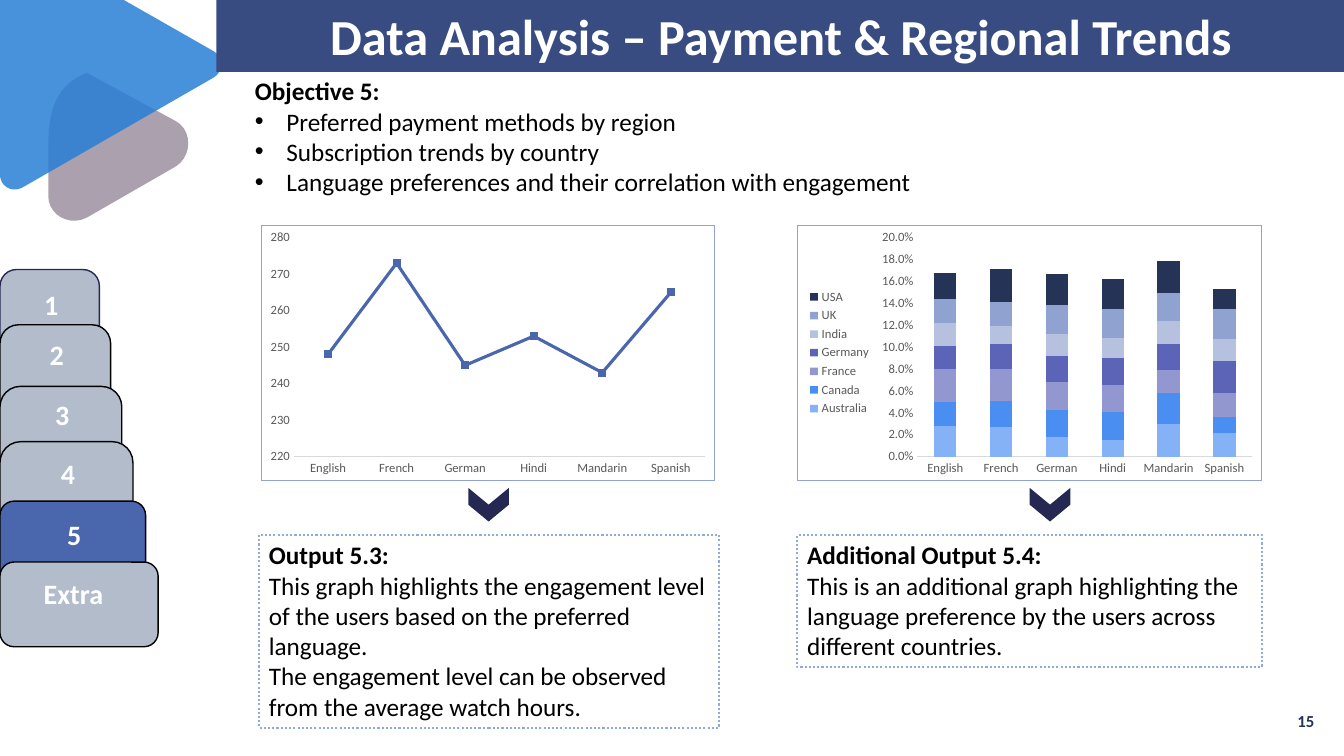
from dataclasses import dataclass

from lxml import etree
from pptx import Presentation
from pptx.chart.data import CategoryChartData
from pptx.dml.color import RGBColor
from pptx.enum.chart import XL_CHART_TYPE, XL_LEGEND_POSITION, XL_TICK_MARK
from pptx.enum.dml import MSO_LINE
from pptx.enum.shapes import MSO_SHAPE
from pptx.enum.text import MSO_ANCHOR, PP_ALIGN
from pptx.oxml import parse_xml
from pptx.oxml.ns import nsdecls, qn
from pptx.util import Pt

LINE, STACKED = XL_CHART_TYPE.LINE, XL_CHART_TYPE.COLUMN_STACKED
LEGEND_LEFT, NO_TICK = XL_LEGEND_POSITION.LEFT, XL_TICK_MARK.NONE
DOTTED = MSO_LINE.ROUND_DOT
RECTANGLE, ROUNDED, CHEVRON = MSO_SHAPE.RECTANGLE, MSO_SHAPE.ROUNDED_RECTANGLE, MSO_SHAPE.CHEVRON
TOP, MIDDLE = MSO_ANCHOR.TOP, MSO_ANCHOR.MIDDLE
LEFT, CENTER, RIGHT = PP_ALIGN.LEFT, PP_ALIGN.CENTER, PP_ALIGN.RIGHT


@dataclass(frozen=True)
class Theme:
    font: str = "Calibri"
    title_size: int = 36
    step_size: int = 20
    body_size: int = 18
    number_size: int = 12
    axis_size: int = 9
    white: str = "FFFFFF"
    black: str = "000000"
    bar: str = "384C81"
    mauve: str = "9D90A0"
    sky: str = "297FD5"
    step: str = "B2BCCB"
    accent: str = "4A66AC"
    navy: str = "242852"
    number: str = "253356"
    dotted: str = "8FAADC"
    chart_border: str = "90A2CF"
    axis_text: str = "595959"
    axis_line: str = "D9D9D9"
    stack: tuple = ("85B2F6", "4A8EF2", "9297CF", "5C64B7", "B5C1DF", "90A2CF", "253356")


THEME = Theme()
LANGUAGES = ("English", "French", "German", "Hindi", "Mandarin", "Spanish")
WATCH_HOURS = {"Series 1": (248, 273, 245, 253, 243, 265)}
LANGUAGE_SHARE = {
    "Australia": (0.028, 0.027, 0.018, 0.015, 0.03, 0.022),
    "Canada": (0.022, 0.024, 0.025, 0.026, 0.028, 0.014),
    "France": (0.03, 0.029, 0.025, 0.024, 0.021, 0.022),
    "Germany": (0.021, 0.023, 0.024, 0.025, 0.024, 0.029),
    "India": (0.021, 0.016, 0.02, 0.018, 0.021, 0.02),
    "UK": (0.022, 0.022, 0.026, 0.027, 0.025, 0.028),
    "USA": (0.024, 0.03, 0.029, 0.027, 0.03, 0.018),
}
MAUVE_TRIANGLE = ((0, 52.5), (0, 16, 15, 7.5, 27.5, 2), (91, 36.5),
                  (103, 43, 103, 61.5, 91, 69), (27.5, 105.5), (15, 112, 0, 103.5, 0, 90))
SKY_TRIANGLE = ((0, 0), (88.5, 0), (152.5, 36.5), (160, 41, 160, 51, 152.5, 55.5),
                (16, 134), (8.5, 138, 0, 133, 0, 124.5))
STEPS = (
    ("1", 192.5, 71, 176, 9.5, 1),
    ("2", 232, 79, 176, 5.5, 1),
    ("3", 276, 87, 176, 3.5, 1),
    ("4", 315.5, 95, 89, 6.5, 1),
    ("5", 358, 104, 60.5, 8.5, 1),
    ("Extra", 401.5, 113, 60.5, 7, -4),
)


def rgb(value):
    return RGBColor.from_string(value)


def style_font(font, size, color, bold=False):
    font.name, font.size, font.bold = THEME.font, Pt(size), bold
    font.color.rgb = rgb(color)


def write(shape, lines, size, color, bold_lines=1, align=LEFT, anchor=TOP):
    frame = shape.text_frame
    frame.word_wrap = True
    frame.vertical_anchor = anchor
    frame.text = "\n".join(lines)
    for index, paragraph in enumerate(frame.paragraphs):
        paragraph.alignment = align
        for run in paragraph.runs:
            style_font(run.font, size, color, index < bold_lines)


def add_block(slide, kind, box, fill=None, line=None, width=1):
    shape = slide.shapes.add_shape(kind, *map(Pt, box))
    shape.shadow.inherit = False
    if fill:
        shape.fill.solid()
        shape.fill.fore_color.rgb = rgb(fill)
    else:
        shape.fill.background()
    if line:
        shape.line.color.rgb = rgb(line)
        shape.line.width = Pt(width)
    else:
        shape.line.fill.background()
    return shape


def flatten(outline, steps=10):
    points = [outline[0]]
    for segment in outline[1:]:
        if len(segment) == 2:
            points.append(segment)
            continue
        controls = (points[-1], segment[:2], segment[2:4], segment[4:])
        for step in range(1, steps + 1):
            t = step / steps
            weights = ((1 - t) ** 3, 3 * t * (1 - t) ** 2, 3 * t * t * (1 - t), t ** 3)
            points.append(tuple(sum(w * c[axis] for w, c in zip(weights, controls)) for axis in (0, 1)))
    return points


def add_triangle(slide, left, top, outline, color):
    points = [(Pt(left + x), Pt(top + y)) for x, y in flatten(outline)]
    builder = slide.shapes.build_freeform(*points[0])
    builder.add_line_segments(points[1:], close=True)
    shape = builder.convert_to_shape()
    shape.shadow.inherit = False
    shape.line.fill.background()
    shape.fill.solid()
    shape.fill.fore_color.rgb = rgb(color)
    color_element = next(shape.element.spPr.iter(qn("a:srgbClr")))
    etree.SubElement(color_element, qn("a:alpha")).set("val", "85000")


def add_steps(slide, left, current):
    for label, top, width, height, inset, shift in STEPS:
        fill = THEME.accent if label == current else THEME.step
        line = THEME.navy if label == "1" else THEME.black
        shape = add_block(slide, ROUNDED, (left, top, width, height), fill, line)
        write(shape, [label], THEME.step_size, THEME.white, align=CENTER)
        frame = shape.text_frame
        frame.margin_top, frame.margin_left, frame.margin_right = Pt(inset), Pt(8 + 2 * shift), Pt(8)


def add_objective(slide, left, top, width, height, lines):
    box = slide.shapes.add_textbox(*map(Pt, (left, top, width, height)))
    write(box, lines, THEME.body_size, THEME.black)
    for paragraph in box.text_frame.paragraphs[1:]:
        properties = paragraph._p.get_or_add_pPr()
        properties.set("marL", str(Pt(22.5)))
        properties.set("indent", str(-Pt(22.5)))
        etree.SubElement(properties, qn("a:buFont")).set("typeface", "Arial")
        etree.SubElement(properties, qn("a:buChar")).set("char", "•")


def add_language_chart(slide, box, kind, series, colors, scale, number_format):
    data = CategoryChartData()
    data.categories = LANGUAGES
    for name, values in series.items():
        data.add_series(name, values)
    chart = slide.shapes.add_chart(kind, *map(Pt, box), data).chart
    chart.has_title = False
    style_font(chart.font, THEME.axis_size, THEME.axis_text)
    chart.element.find(qn("c:chart")).addnext(parse_xml(
        f'<c:spPr {nsdecls("c", "a")}><a:solidFill><a:srgbClr val="{THEME.white}"/></a:solidFill>'
        f'<a:ln w="{Pt(0.75)}"><a:solidFill><a:srgbClr val="{THEME.chart_border}"/></a:solidFill></a:ln></c:spPr>'))
    for axis in (chart.category_axis, chart.value_axis):
        axis.major_tick_mark = axis.minor_tick_mark = NO_TICK
        axis.has_major_gridlines = False
        style_font(axis.tick_labels.font, THEME.axis_size, THEME.axis_text)
    chart.category_axis.format.line.color.rgb = rgb(THEME.axis_line)
    chart.category_axis.format.line.width = Pt(0.75)
    value_axis = chart.value_axis
    value_axis.format.line.fill.background()
    value_axis.minimum_scale, value_axis.maximum_scale, value_axis.major_unit = scale
    value_axis.tick_labels.number_format = number_format
    value_axis.tick_labels.number_format_is_linked = False
    plot = chart.plots[0]
    plot.vary_by_categories = False
    chart.has_legend = kind == STACKED
    if chart.has_legend:
        plot.gap_width, plot.overlap = 150, 100
        chart.legend.position = LEGEND_LEFT
        chart.legend.include_in_layout = False
        style_font(chart.legend.font, THEME.axis_size, THEME.axis_text)
    for item, color in zip(plot.series, colors):
        if kind == LINE:
            item.smooth = False
            item.marker.style = None
            item.format.line.color.rgb = rgb(color)
            item.format.line.width = Pt(2.25)
        else:
            item.format.fill.solid()
            item.format.fill.fore_color.rgb = rgb(color)


def add_output(slide, left, top, width, height, arrow_center, lines):
    arrow = add_block(slide, CHEVRON, (arrow_center - 12, top - 36, 24, 29), THEME.navy)
    arrow.rotation = 90
    box = add_block(slide, RECTANGLE, (left, top, width, height), line=THEME.dotted, width=1.5)
    box.line.dash_style = DOTTED
    write(box, lines, THEME.body_size, THEME.black)


def build_slide(presentation):
    slide = presentation.slides.add_slide(presentation.slide_layouts[6])
    add_triangle(slide, 34.5, 50, MAUVE_TRIANGLE, THEME.mauve)
    add_triangle(slide, 0, 0, SKY_TRIANGLE, THEME.sky)
    title = add_block(slide, RECTANGLE, (154.5, -0.5, 807, 52), THEME.bar)
    write(title, ["Data Analysis – Payment & Regional Trends"], THEME.title_size, THEME.white,
          align=CENTER, anchor=MIDDLE)
    number = slide.shapes.add_textbox(*map(Pt, (840, 500.5, 106, 29)))
    write(number, ["15"], THEME.number_size, THEME.number, align=RIGHT, anchor=MIDDLE)
    add_objective(slide, 175, 50.5, 502, 94.5, (
        "Objective 5:", "Preferred payment methods by region", "Subscription trends by country",
        "Language preferences and their correlation with engagement"))
    add_steps(slide, 0, "5")
    add_language_chart(slide, (186.5, 160.5, 324, 183), LINE, WATCH_HOURS, (THEME.accent,), (220, 280, 10), "0")
    add_output(slide, 185, 382, 328.5, 138, 349, (
        "Output 5.3:",
        "This graph highlights the engagement level of the users based on the preferred language.",
        "The engagement level can be observed from the average watch hours."))
    add_language_chart(slide, (569.5, 160.5, 332, 183), STACKED, LANGUAGE_SHARE, THEME.stack, (0, 0.2, 0.02), "0.0%")
    add_output(slide, 569.5, 382, 332, 94.5, 750, (
        "Additional Output 5.4:",
        "This is an additional graph highlighting the language preference by the users across different countries."))


def main():
    presentation = Presentation()
    presentation.slide_width, presentation.slide_height = Pt(960), Pt(540)
    build_slide(presentation)
    presentation.save("out.pptx")


if __name__ == "__main__":
    main()
